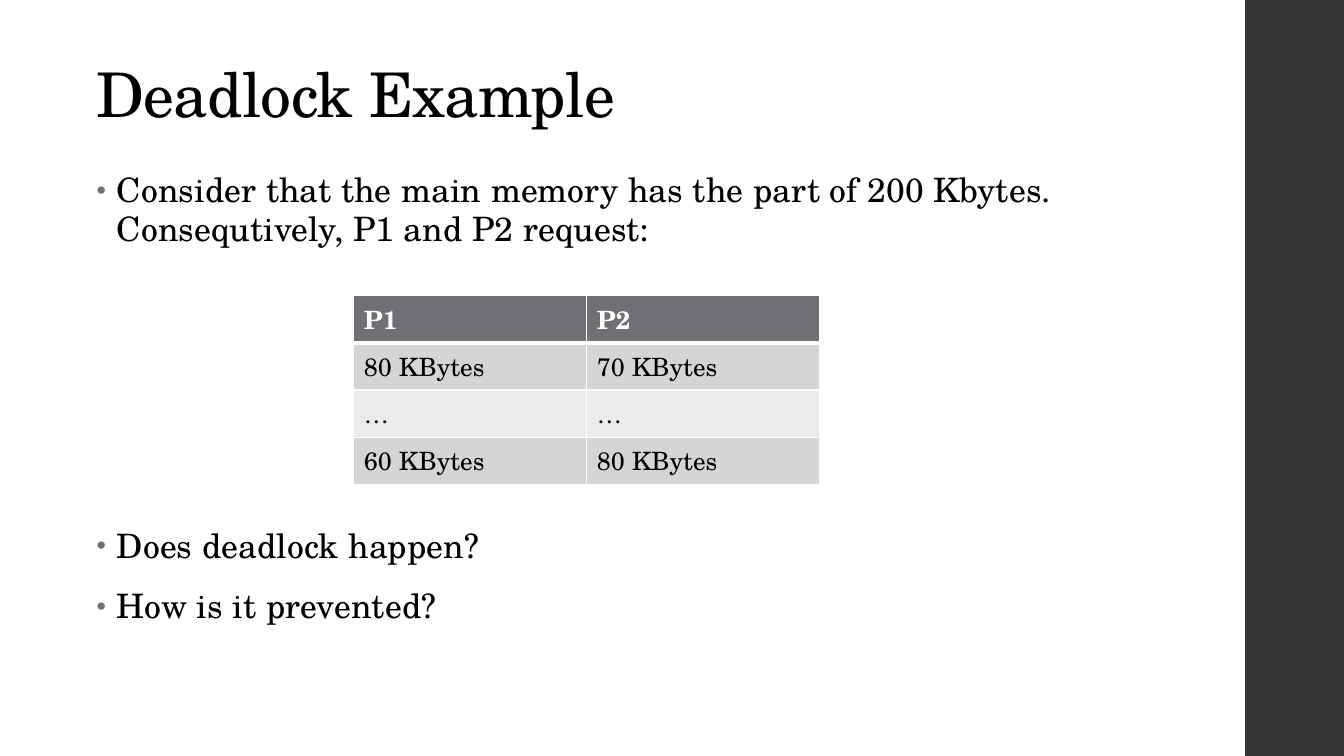
from pptx import Presentation
from pptx.dml.color import RGBColor as RGB
from pptx.enum.shapes import MSO_SHAPE as SHAPE
from pptx.enum.text import MSO_ANCHOR as ANCHOR
from pptx.oxml import parse_xml
from pptx.oxml.ns import nsdecls
from pptx.util import Inches, Pt

COLORS = {
    "text": "000000",
    "white": "FFFFFF",
    "sidebar": "353537",
    "accent": "6F6F74",
    "odd_row": "D5D5D6",
    "even_row": "EBEBEB",
}
FONT = "TeX Gyre Schola"


def color(name):
    return RGB.from_string(COLORS[name])


def element(tag, inner="", **attributes):
    listed = "".join(f' {key}="{value}"' for key, value in attributes.items())
    return parse_xml(f'<a:{tag} {nsdecls("a")}{listed}>{inner}</a:{tag}>')


class SlideBuilder:
    def __init__(self, slide):
        self.slide = slide

    def style(self, paragraph, size, ink="text", bold=False, tracking=0):
        font = paragraph.font
        font.name, font.size, font.bold = FONT, Pt(size), bold
        font.color.rgb = color(ink)
        if tracking:
            for run in paragraph.runs:
                run.font._element.set("spc", str(tracking))

    def band(self, left, top, width, height, fill):
        band = self.slide.shapes.add_shape(
            SHAPE.RECTANGLE, *map(Inches, (left, top, width, height)))
        band.shadow.inherit = False
        band.fill.solid()
        band.fill.fore_color.rgb = color(fill)
        band.line.fill.background()

    def frame(self, left, top, width, height, anchor):
        box = self.slide.shapes.add_textbox(
            *map(Inches, (left, top, width, height)))
        box.text_frame.word_wrap = True
        box.text_frame.vertical_anchor = anchor
        return box.text_frame

    def title(self, text, *place):
        heading = self.frame(*place, ANCHOR.BOTTOM).paragraphs[0]
        heading.text = text
        heading.line_spacing = 0.9
        self.style(heading, 44, tracking=-50)

    def bullets(self, items, *place):
        """Each item is a text and the space before it in points."""
        frame = self.frame(*place, ANCHOR.TOP)
        frame.text = "\n".join(text for text, _ in items)
        for point, (_, gap) in zip(frame.paragraphs, items):
            point.line_spacing = 0.95
            point.space_before, point.space_after = Pt(gap), Pt(2)
            self.style(point, 24, tracking=10)
            properties = point._p.get_or_add_pPr()
            properties.set("marL", str(Inches(0.2)))
            properties.set("indent", str(-Inches(0.2)))
            marks = (
                element("buClr", f'<a:srgbClr val="{COLORS["accent"]}"/>'),
                element("buSzPct", val=80000),
                element("buFont", typeface="Arial"),
                element("buChar", char="•"),
            )
            for offset, mark in enumerate(marks):
                properties.insert_element_before(
                    mark, "a:tabLst", "a:defRPr", "a:extLst")

    def borders(self, cell, bottom):
        properties = cell._tc.get_or_add_tcPr()
        line = f'<a:solidFill><a:srgbClr val="{COLORS["white"]}"/></a:solidFill>'
        widths = {"lnL": 1, "lnR": 1, "lnT": 1, "lnB": bottom}
        for position, (side, width) in enumerate(widths.items()):
            properties.insert(position, element(side, line, w=Pt(width)))

    def table(self, rows, left, top, column_width, row_height):
        columns = len(rows[0])
        table = self.slide.shapes.add_table(
            len(rows), columns, Inches(left), Inches(top),
            Inches(column_width * columns),
            Inches(row_height * len(rows))).table
        for r, row in enumerate(rows):
            header = r == 0
            fill = "accent" if header else "odd_row" if r % 2 else "even_row"
            for c, text in enumerate(row):
                cell = table.cell(r, c)
                cell.text = text
                cell.fill.solid()
                cell.fill.fore_color.rgb = color(fill)
                self.style(cell.text_frame.paragraphs[0], 18,
                           "white" if header else "text", bold=header)
                # The rule under the header is shared with the first row
                self.borders(cell, bottom=3 if header else 1)
                if r == 1:
                    cell._tc.tcPr.find(
                        "{http://schemas.openxmlformats.org/drawingml/2006/main}lnT"
                    ).set("w", str(Pt(3)))


def main():
    deck = Presentation()
    deck.slide_width, deck.slide_height = Inches(13.33), Inches(7.5)
    builder = SlideBuilder(deck.slides.add_slide(deck.slide_layouts[6]))

    # Sidebar and title
    builder.band(12.35, 0, 1, 7.5, "sidebar")
    builder.title("Deadlock Example", 0.86, 0.4, 10.6, 0.95)

    # Scenario and questions, with room for the table between them
    builder.bullets([
        ("Consider that the main memory has the part of 200 Kbytes. "
         "Consequtively, P1 and P2 request:", 0),
        ("Does deadlock happen?", 197),
        ("How is it prevented?", 14),
    ], 0.86, 1.66, 9.92, 5.09)

    # Memory requests
    builder.table([
        ("P1", "P2"),
        ("80 KBytes", "70 KBytes"),
        ("…", "…"),
        ("60 KBytes", "80 KBytes"),
    ], 3.51, 2.93, 2.31, 0.47)

    deck.save("out.pptx")


if __name__ == "__main__":
    main()
